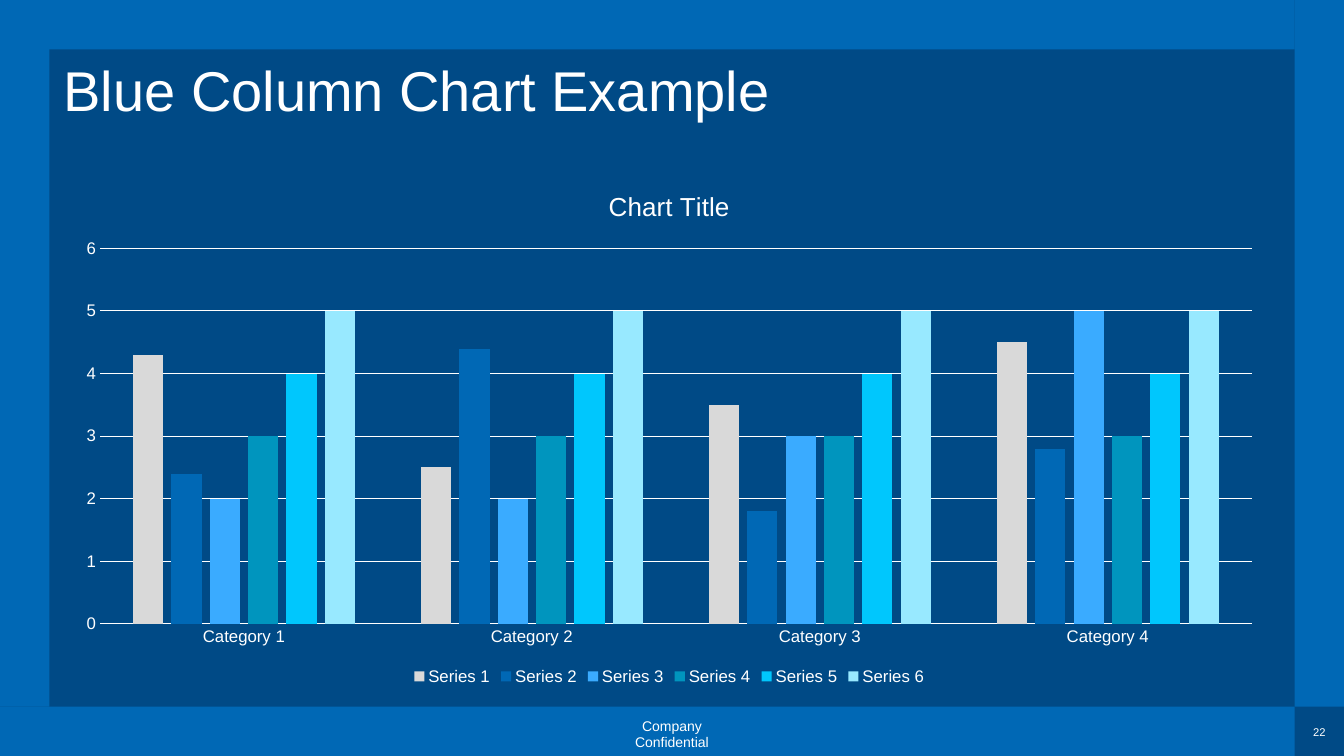
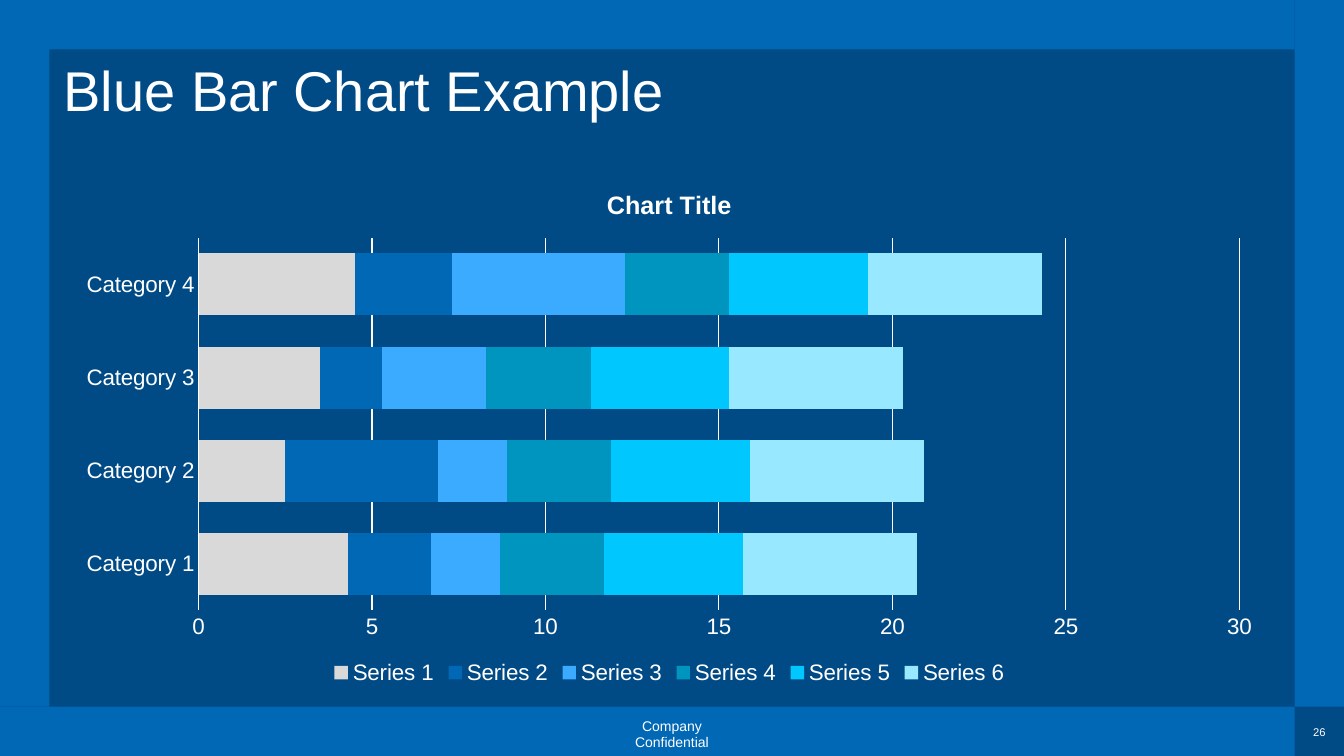
from pptx import Presentation
from pptx.chart import data
from pptx.dml.color import RGBColor
from pptx.enum import chart as charts, shapes, text
from pptx.util import Pt

NAVY = RGBColor(0x00, 0x4A, 0x86)
BLUE = RGBColor(0x00, 0x68, 0xB5)
WHITE = RGBColor(0xFF, 0xFF, 0xFF)
SERIES_COLOURS = [
    RGBColor(0xD9, 0xD9, 0xD9), BLUE, RGBColor(0x3A, 0xAB, 0xFF),
    RGBColor(0x00, 0x95, 0xBE), RGBColor(0x00, 0xC7, 0xFD), RGBColor(0x98, 0xE9, 0xFF),
]
FONT = "Arial"
WIDTH, HEIGHT, BAND = 960, 540, 35.3

CATEGORIES = [f"Category {n}" for n in range(1, 5)]
SERIES_VALUES = [
    (4.3, 2.5, 3.5, 4.5), (2.4, 4.4, 1.8, 2.8), (2, 2, 3, 5),
    (3, 3, 3, 3), (4, 4, 4, 4), (5, 5, 5, 5),
]

# The bands leave the bottom right corner open for the page number
BANDS = [
    (0, HEIGHT - BAND, WIDTH - BAND, BAND),
    (WIDTH - BAND, 0, BAND, HEIGHT - BAND),
    (0, 0, WIDTH - BAND, BAND),
    (0, 0, BAND, HEIGHT - BAND),
]

SLIDES = [
    dict(title="Blue Column Chart Example", page="22",
         kind=charts.XL_CHART_TYPE.COLUMN_CLUSTERED, gap=219, overlap=-27,
         size=12, heading_size=18.6, heading_bold=False, top=6, step=1),
    dict(title="Blue Bar Chart Example", page="26",
         kind=charts.XL_CHART_TYPE.BAR_STACKED, gap=50, overlap=100,
         size=16, heading_size=18, heading_bold=True, top=30, step=5),
]


def style_font(font, size, bold=False):
    font.name, font.size, font.bold = FONT, Pt(size), bold
    font.color.rgb = WHITE


def add_text(slide, words, box, size, align=text.PP_ALIGN.LEFT,
             anchor=text.MSO_ANCHOR.TOP, wrap=True, spacing=1.0):
    frame = slide.shapes.add_textbox(*map(Pt, box)).text_frame
    frame.margin_left = frame.margin_right = frame.margin_top = frame.margin_bottom = 0
    frame.word_wrap, frame.vertical_anchor = wrap, anchor
    paragraph = frame.paragraphs[0]
    paragraph.alignment, paragraph.line_spacing = align, spacing
    run = paragraph.add_run()
    run.text = words
    style_font(run.font, size)


deck = Presentation()
deck.slide_width, deck.slide_height = Pt(WIDTH), Pt(HEIGHT)

for content in SLIDES:
    slide = deck.slides.add_slide(deck.slide_layouts[6])
    slide.background.fill.solid()
    slide.background.fill.fore_color.rgb = NAVY

    # Frame
    for box in BANDS:
        band = slide.shapes.add_shape(shapes.MSO_SHAPE.RECTANGLE, *map(Pt, box))
        band.shadow.inherit = False
        band.fill.solid()
        band.fill.fore_color.rgb = BLUE
        band.line.fill.background()

    # Title, footer and page number
    add_text(slide, content["title"], (45.4, 45.4, 867.6, 69), 40, spacing=0.9)
    centred = dict(align=text.PP_ALIGN.CENTER, anchor=text.MSO_ANCHOR.MIDDLE, wrap=False)
    add_text(slide, "Company Confidential", (433, 517, 94, 16), 10, spacing=0.9, **centred)
    add_text(slide, content["page"], (937.4, 518.4, 10, 9.4), 8, **centred)

    # Chart
    figures = data.CategoryChartData()
    figures.categories = CATEGORIES
    for number, values in enumerate(SERIES_VALUES, 1):
        figures.add_series(f"Series {number}", values)
    chart = slide.shapes.add_chart(
        content["kind"], Pt(44.6), Pt(120.2), Pt(866.9), Pt(372.2), figures).chart
    style_font(chart.font, content["size"])

    chart.has_title = True
    heading = chart.chart_title.text_frame
    heading.text = "Chart Title"
    style_font(heading.paragraphs[0].runs[0].font,
               content["heading_size"], content["heading_bold"])

    chart.has_legend = True
    chart.legend.position = charts.XL_LEGEND_POSITION.BOTTOM
    chart.legend.include_in_layout = False
    style_font(chart.legend.font, content["size"])

    plot = chart.plots[0]
    plot.gap_width, plot.overlap = content["gap"], content["overlap"]
    plot.vary_by_categories = False
    for series, colour in zip(plot.series, SERIES_COLOURS):
        series.format.fill.solid()
        series.format.fill.fore_color.rgb = colour
        series.invert_if_negative = False

    # Axes
    for axis in (chart.category_axis, chart.value_axis):
        axis.major_tick_mark = axis.minor_tick_mark = charts.XL_TICK_MARK.NONE
        style_font(axis.tick_labels.font, content["size"])
    values_axis = chart.value_axis
    values_axis.minimum_scale, values_axis.maximum_scale = 0, content["top"]
    values_axis.major_unit = content["step"]
    values_axis.format.line.fill.background()
    values_axis.has_major_gridlines = True
    for line in (chart.category_axis.format.line, values_axis.major_gridlines.format.line):
        line.color.rgb = WHITE
        line.width = Pt(0.75)

deck.save("out.pptx")
